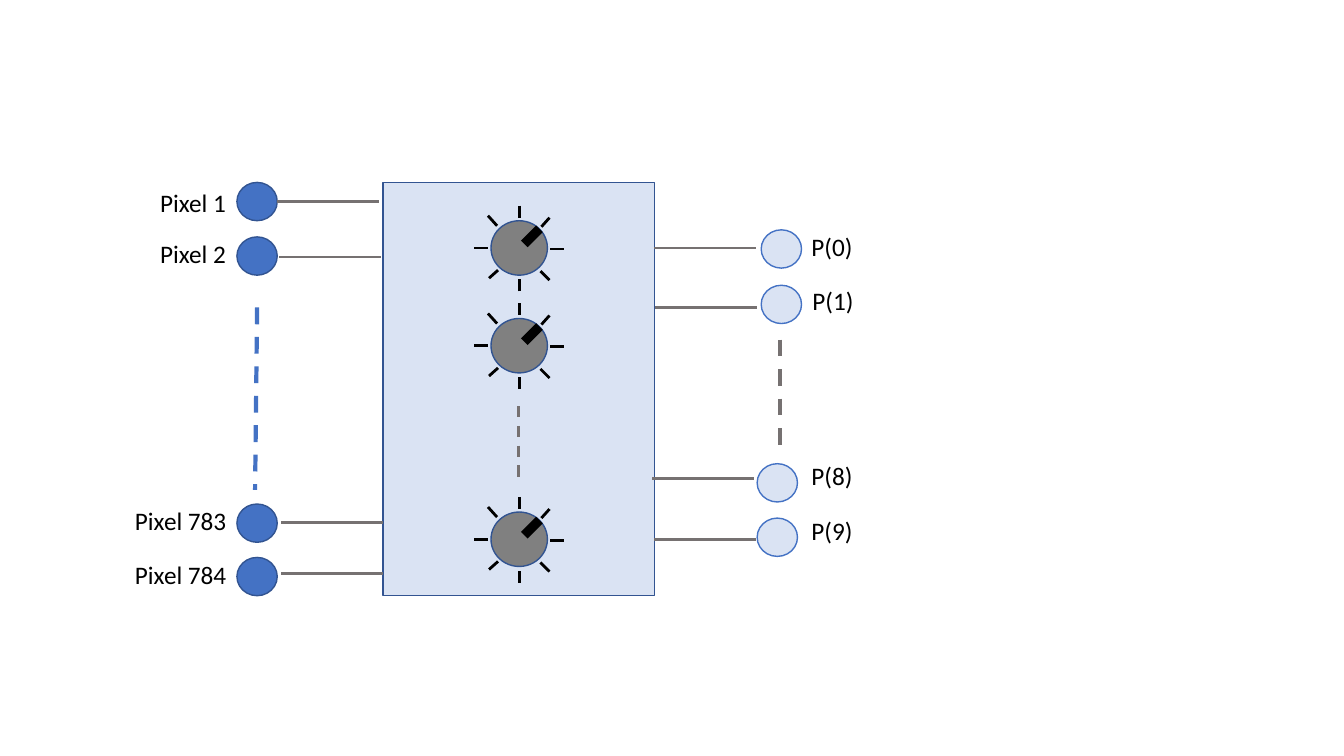
from dataclasses import dataclass

from lxml.etree import SubElement
from pptx import Presentation
from pptx.dml.color import RGBColor
from pptx.enum.dml import MSO_LINE
from pptx.enum.shapes import MSO_CONNECTOR, MSO_SHAPE
from pptx.enum.text import MSO_AUTO_SIZE
from pptx.oxml.ns import qn
from pptx.shapes.shapetree import _BaseGroupShapes
from pptx.util import Inches, Pt

BLUE = "4472C4"
NAVY = "325491"
PALE = "DAE3F3"
GRAY = "767171"
KNOB_GRAY = "808080"
BLACK = "000000"

NODE_WIDTH, NODE_HEIGHT = 0.4, 0.38
LABEL_HEIGHT = 0.4
WIRE_LENGTH = 1.01
KNOB_X = 5.15


@dataclass(frozen=True)
class Node:
    label: str
    left: float
    top: float
    label_left: float
    label_top: float
    label_width: float
    wire_left: float
    wire_y: float


@dataclass(frozen=True)
class Stroke:
    x1: float
    y1: float
    x2: float
    y2: float
    color: str
    width: float
    dashed: bool = False


PIXELS = [
    Node("Pixel 1", 2.35, 1.81, 1.49, 1.81, 0.86, 2.75, 2.0),
    Node("Pixel 2", 2.35, 2.35, 1.49, 2.32, 0.86, 2.77, 2.55),
    Node("Pixel 783", 2.35, 5.0, 1.24, 4.96, 1.12, 2.79, 5.18),
    Node("Pixel 784", 2.35, 5.53, 1.24, 5.5, 1.12, 2.79, 5.69),
]
PROBABILITIES = [
    Node("P(0)", 7.55, 2.28, 7.95, 2.25, 0.61, 6.49, 2.46),
    Node("P(1)", 7.55, 2.83, 7.96, 2.78, 0.61, 6.5, 3.05),
    Node("P(8)", 7.51, 4.6, 7.95, 4.52, 0.61, 6.47, 4.75),
    Node("P(9)", 7.51, 5.14, 7.95, 5.06, 0.61, 6.49, 5.35),
]
ELLIPSES = [
    Stroke(2.55, 3.05, 2.53, 4.86, BLUE, 3, True),
    Stroke(7.74, 3.37, 7.74, 4.47, GRAY, 3, True),
    Stroke(5.14, 4.03, 5.14, 4.73, GRAY, 2, True),
]
KNOB_CENTERS = [2.46, 3.43, 5.35]
KNOB_MARKS = [
    Stroke(0.05, -0.04, 0.2, -0.19, BLACK, 6.75),
    Stroke(0, 0.43, 0, 0.31, BLACK, 2),
    Stroke(-0.31, 0, -0.45, 0, BLACK, 2),
    Stroke(0, -0.42, 0, -0.3, BLACK, 2),
    Stroke(0.44, 0.01, 0.3, 0.01, BLACK, 2),
    Stroke(-0.3, 0.3, -0.21, 0.22, BLACK, 2),
    Stroke(-0.22, -0.22, -0.31, -0.32, BLACK, 2),
    Stroke(0.3, -0.3, 0.22, -0.21, BLACK, 2),
    Stroke(0.3, 0.32, 0.21, 0.23, BLACK, 2),
]


def rgb(color: str) -> RGBColor:
    return RGBColor.from_string(color)


def draw_shape(shapes: _BaseGroupShapes, kind: MSO_SHAPE, left: float, top: float,
               width: float, height: float, fill: str, outline: str) -> None:
    shape = shapes.add_shape(kind, Inches(left), Inches(top), Inches(width), Inches(height))
    shape.shadow.inherit = False
    shape.fill.solid()
    shape.fill.fore_color.rgb = rgb(fill)
    shape.line.color.rgb = rgb(outline)
    shape.line.width = Pt(1)


def draw_stroke(shapes: _BaseGroupShapes, stroke: Stroke, dx: float = 0, dy: float = 0) -> None:
    connector = shapes.add_connector(
        MSO_CONNECTOR.STRAIGHT,
        Inches(stroke.x1 + dx), Inches(stroke.y1 + dy),
        Inches(stroke.x2 + dx), Inches(stroke.y2 + dy),
    )
    connector.line.color.rgb = rgb(stroke.color)
    connector.line.width = Pt(stroke.width)
    if stroke.dashed:
        connector.line.dash_style = MSO_LINE.DASH
    SubElement(connector._element.spPr, qn("a:effectLst"))


def draw_label(shapes: _BaseGroupShapes, node: Node) -> None:
    label = shapes.add_textbox(Inches(node.label_left), Inches(node.label_top),
                               Inches(node.label_width), Inches(LABEL_HEIGHT))
    label.text_frame.word_wrap = False
    label.text_frame.auto_size = MSO_AUTO_SIZE.SHAPE_TO_FIT_TEXT
    run = label.text_frame.paragraphs[0].add_run()
    run.text = node.label
    run.font.name = "Calibri"
    run.font.size = Pt(18)
    run.font.color.rgb = rgb(BLACK)


def draw_node(shapes: _BaseGroupShapes, node: Node, fill: str, outline: str) -> None:
    draw_shape(shapes, MSO_SHAPE.OVAL, node.left, node.top,
               NODE_WIDTH, NODE_HEIGHT, fill, outline)
    draw_label(shapes, node)
    draw_stroke(shapes, Stroke(node.wire_left, node.wire_y,
                               node.wire_left + WIRE_LENGTH, node.wire_y, GRAY, 0))


def draw_knob(shapes: _BaseGroupShapes, center_y: float) -> None:
    knob = shapes.add_group_shape().shapes
    draw_shape(knob, MSO_SHAPE.OVAL, KNOB_X - 0.28, center_y - 0.27,
               0.56, 0.54, KNOB_GRAY, NAVY)
    for mark in KNOB_MARKS:
        draw_stroke(knob, mark, KNOB_X, center_y)


def main() -> None:
    presentation = Presentation()
    presentation.slide_width = Inches(13.33)
    presentation.slide_height = Inches(7.5)
    shapes = presentation.slides.add_slide(presentation.slide_layouts[6]).shapes

    draw_shape(shapes, MSO_SHAPE.RECTANGLE, 3.8, 1.81, 2.69, 4.1, PALE, NAVY)
    for pixel in PIXELS:
        draw_node(shapes, pixel, BLUE, NAVY)
    for probability in PROBABILITIES:
        draw_node(shapes, probability, PALE, BLUE)
    for center_y in KNOB_CENTERS:
        draw_knob(shapes, center_y)
    for ellipsis in ELLIPSES:
        draw_stroke(shapes, ellipsis)

    presentation.save("out.pptx")


if __name__ == "__main__":
    main()
